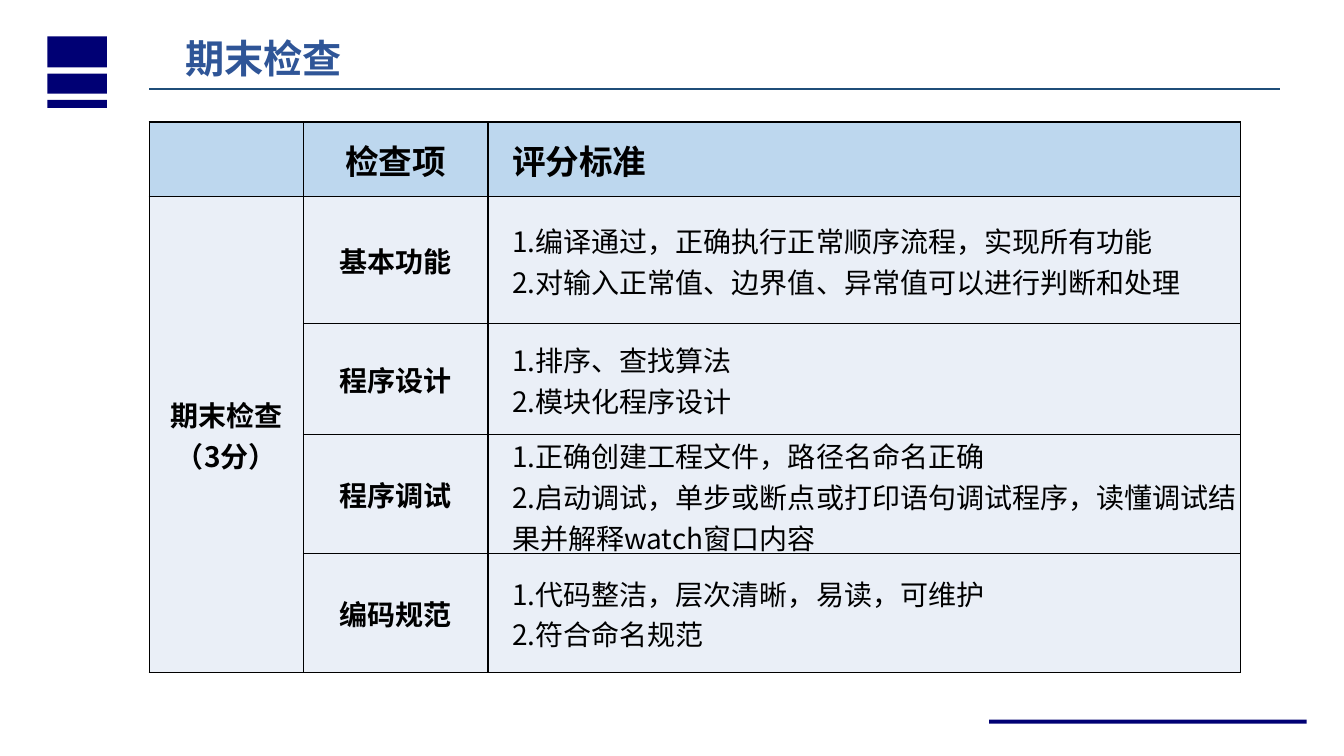
from dataclasses import dataclass

from lxml.etree import SubElement
from pptx import Presentation
from pptx.dml.color import RGBColor
from pptx.enum.shapes import MSO_CONNECTOR, MSO_SHAPE
from pptx.enum.text import MSO_ANCHOR, PP_ALIGN
from pptx.oxml.ns import qn
from pptx.slide import Slide
from pptx.table import Table, _Cell
from pptx.text.text import _Paragraph
from pptx.util import Inches, Pt

FONT = "Noto Sans CJK SC"
NAVY, TITLE_BLUE, RULE_BLUE = "000074", "2F5597", "1F4E79"
HEADER_FILL, BODY_FILL, BLACK = "BDD7EE", "EAEFF7", "000000"


@dataclass(frozen=True)
class Bar:
    left: float
    top: float
    width: float
    height: float


@dataclass(frozen=True)
class Check:
    name: str
    criteria: tuple[str, ...]
    height: float


BARS = [
    Bar(0.47, 0.36, 0.59, 0.31),
    Bar(0.47, 0.73, 0.59, 0.2),
    Bar(0.47, 0.99, 0.59, 0.08),
    Bar(9.81, 7.14, 3.15, 0.04),
]
COLUMN_WIDTHS = [1.53, 1.83, 7.46]
HEADER_HEIGHT = 0.74
CHECKS = [
    Check("基本功能", ("1.编译通过，正确执行正常顺序流程，实现所有功能",
                   "2.对输入正常值、边界值、异常值可以进行判断和处理"), 1.26),
    Check("程序设计", ("1.排序、查找算法", "2.模块化程序设计"), 1.1),
    Check("程序调试", ("1.正确创建工程文件，路径名命名正确",
                   "2.启动调试，单步或断点或打印语句调试程序，读懂调试结果并解释watch窗口内容"), 1.18),
    Check("编码规范", ("1.代码整洁，层次清晰，易读，可维护", "2.符合命名规范"), 1.18),
]


def color(value: str) -> RGBColor:
    return RGBColor.from_string(value)


def style_paragraph(paragraph: _Paragraph, size: float, bold: bool, text_color: str) -> None:
    font = paragraph.font
    font.name, font.size, font.bold = FONT, Pt(size), bold
    font.color.rgb = color(text_color)
    SubElement(font._element, qn("a:ea"), typeface=FONT)


def add_bar(slide: Slide, bar: Bar) -> None:
    shape = slide.shapes.add_shape(
        MSO_SHAPE.RECTANGLE, Inches(bar.left), Inches(bar.top), Inches(bar.width), Inches(bar.height))
    shape.shadow.inherit = False
    shape.fill.solid()
    shape.fill.fore_color.rgb = color(NAVY)
    shape.line.fill.background()


def add_title(slide: Slide, text: str) -> None:
    box = slide.shapes.add_textbox(Inches(1.74), Inches(0.29), Inches(4.69), Inches(0.57))
    box.text_frame.word_wrap = True
    box.text_frame.text = text
    style_paragraph(box.text_frame.paragraphs[0], 28, True, TITLE_BLUE)

    # Rule under the title
    rule = slide.shapes.add_connector(
        MSO_CONNECTOR.STRAIGHT, Inches(1.48), Inches(0.88), Inches(12.7), Inches(0.88))
    rule.line.color.rgb = color(RULE_BLUE)
    rule.line.width = Pt(1.25)
    SubElement(rule._element.spPr, qn("a:effectLst"))


def format_cell(cell: _Cell, fill: str) -> None:
    # Borders come before the fill in the cell properties
    properties = cell._tc.get_or_add_tcPr()
    for side in ("lnL", "lnR", "lnT", "lnB"):
        border = SubElement(properties, qn(f"a:{side}"), w=str(Pt(1)))
        line_fill = SubElement(border, qn("a:solidFill"))
        SubElement(line_fill, qn("a:srgbClr"), val=BLACK)
    cell.fill.solid()
    cell.fill.fore_color.rgb = color(fill)
    cell.vertical_anchor = MSO_ANCHOR.MIDDLE
    cell.margin_left = cell.margin_right = cell.margin_top = Inches(0.01)
    cell.margin_bottom = 0


def write_cell(cell: _Cell, lines: tuple[str, ...], size: float = 20,
               bold: bool = True, centered: bool = True) -> None:
    cell.text = "\n".join(lines)
    if not centered:
        cell.margin_left = Inches(0.24)
    for paragraph in cell.text_frame.paragraphs:
        paragraph.alignment = PP_ALIGN.CENTER if centered else PP_ALIGN.LEFT
        style_paragraph(paragraph, size, bold, BLACK)


def add_check_table(slide: Slide) -> Table:
    heights = [HEADER_HEIGHT] + [check.height for check in CHECKS]
    table = slide.shapes.add_table(
        len(heights), len(COLUMN_WIDTHS), Inches(1.48), Inches(1.21),
        Inches(sum(COLUMN_WIDTHS)), Inches(sum(heights))).table
    table.first_row = table.horz_banding = False
    for column, width in zip(table.columns, COLUMN_WIDTHS):
        column.width = Inches(width)
    for index, (row, height) in enumerate(zip(table.rows, heights)):
        row.height = Inches(height)
        for cell in row.cells:
            format_cell(cell, BODY_FILL if index else HEADER_FILL)

    # Header row
    write_cell(table.cell(0, 1), ("检查项",), size=24)
    write_cell(table.cell(0, 2), ("评分标准",), size=24, centered=False)

    # Group label across all checks
    table.cell(1, 0).merge(table.cell(len(CHECKS), 0))
    write_cell(table.cell(1, 0), ("期末检查（3分）",))

    # One row per check
    for index, check in enumerate(CHECKS, start=1):
        write_cell(table.cell(index, 1), (check.name,))
        write_cell(table.cell(index, 2), check.criteria, bold=False, centered=False)
    return table


def main() -> None:
    presentation = Presentation()
    presentation.slide_width, presentation.slide_height = Inches(13.33), Inches(7.5)
    slide = presentation.slides.add_slide(presentation.slide_layouts[6])
    for bar in BARS:
        add_bar(slide, bar)
    add_title(slide, "期末检查")
    add_check_table(slide)
    presentation.save("out.pptx")


if __name__ == "__main__":
    main()
